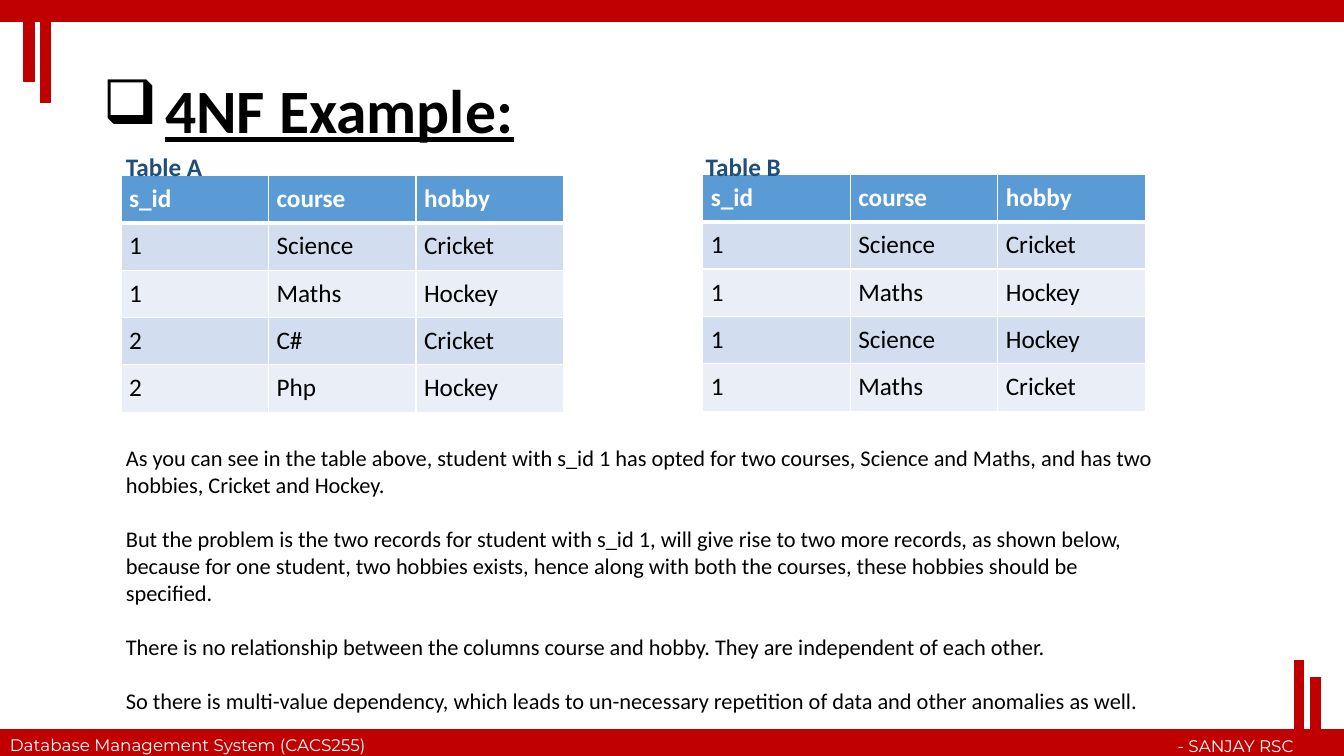
from pptx import Presentation
from pptx.dml.color import RGBColor as Rgb
from pptx.enum.shapes import MSO_SHAPE as Kind
from pptx.enum.text import MSO_ANCHOR as Anchor, PP_ALIGN as Align
from pptx.oxml.ns import qn
from pptx.util import Pt
from lxml.etree import SubElement as Sub

PX = 9144  # 100 px to the inch
RED, WHITE, BLACK, NAVY = "C00000", "FFFFFF", "000000", "1F4E79"
HEAD, BANDS = "5B9BD5", ("D2DEEF", "EAEFF7")
BARS = [(0, 0, 1333, 21), (40, 1, 10, 101), (24, 3, 10, 78),
        (1284, 655, 9, 94), (1300, 672, 10, 78)]
COLS = ("s_id", "course", "hobby")
ROWS_A = [COLS, ("1", "Science", "Cricket"), ("1", "Maths", "Hockey"),
          ("2", "C#", "Cricket"), ("2", "Php", "Hockey")]
ROWS_B = [COLS, ("1", "Science", "Cricket"), ("1", "Maths", "Hockey"),
          ("1", "Science", "Hockey"), ("1", "Maths", "Cricket")]
NOTES = [
    "As you can see in the table above, student with s_id 1 has opted for two "
    "courses, Science and Maths, and has two hobbies, Cricket and Hockey.",
    "But the problem is the two records for student with s_id 1, will give rise "
    "to two more records, as shown below, because for one student, two hobbies "
    "exists, hence along with both the courses, these hobbies should be specified.",
    "There is no relationship between the columns course and hobby. "
    "They are independent of each other.",
    "So there is multi-value dependency, which leads to un-necessary repetition "
    "of data and other anomalies as well.",
]


def emu(*nums):
    return [n * PX for n in nums]


def tint(code):
    return Rgb.from_string(code)


def add_bar(slide, box):
    bar = slide.shapes.add_shape(Kind.RECTANGLE, *emu(*box))
    bar.shadow.inherit = False
    bar.fill.solid()
    bar.fill.fore_color.rgb = tint(RED)
    bar.line.color.rgb = tint(RED)
    bar.line.width = Pt(1)


def add_run(para, text, size, color, bold=False, face="Calibri"):
    run = para.add_run()
    run.text = text
    font = run.font
    font.name, font.size, font.bold = face, Pt(size), bold
    font.color.rgb = tint(color)
    return run


def add_text(slide, box, lines, size, color, gap=0, align=Align.LEFT, **look):
    frame = slide.shapes.add_textbox(*emu(*box)).text_frame
    frame.word_wrap = True
    for i, line in enumerate(lines):
        para = frame.add_paragraph() if i else frame.paragraphs[0]
        para.alignment = align
        if i and gap:
            para.space_before = Pt(gap)
        add_run(para, line, size, color, **look)
    return frame


def add_title(slide, text):
    frame = add_text(slide, (92, 40, 1150, 145), [text], 44, BLACK, bold=True)
    frame.vertical_anchor = Anchor.MIDDLE
    para = frame.paragraphs[0]
    props = para._p.get_or_add_pPr()
    props.set("marL", str(62 * PX))
    props.set("indent", str(-62 * PX))
    Sub(props, qn("a:buChar")).set("char", "❑")
    para.line_spacing = 0.9
    para.runs[0].font.underline = True


def add_edges(cell, row):
    props = cell._tc.get_or_add_tcPr()
    thick = {0: "B", 1: "T"}.get(row)  # rule under the header
    for side in "LRTB":
        edge = Sub(props, qn("a:ln" + side))
        edge.set("w", str(Pt(3 if side == thick else 1)))
        fill = Sub(edge, qn("a:solidFill"))
        Sub(fill, qn("a:srgbClr")).set("val", WHITE)


def add_grid(slide, left, top, rows):
    box = emu(left, top, 439, 47 * len(rows))
    grid = slide.shapes.add_table(len(rows), len(COLS), *box).table
    grid.horz_banding = False
    for r, row in enumerate(rows):
        grid.rows[r].height = 47 * PX
        for c, text in enumerate(row):
            cell = grid.cell(r, c)
            add_edges(cell, r)
            cell.fill.solid()
            cell.fill.fore_color.rgb = tint(BANDS[(r - 1) % 2] if r else HEAD)
            cell.margin_left = cell.margin_right = 8 * PX
            cell.margin_top = cell.margin_bottom = 8 * PX
            add_run(cell.text_frame.paragraphs[0], text, 18,
                    BLACK if r else WHITE, bold=not r)


def main():
    deck = Presentation()
    deck.slide_width, deck.slide_height = emu(1333, 750)
    slide = deck.slides.add_slide(deck.slide_layouts[6])

    # Footer
    add_bar(slide, (0, 724, 1333, 26))
    add_text(slide, (0, 724, 416, 30), ["Database Management System (CACS255)"],
             12, WHITE, face="Montserrat")
    add_text(slide, (970, 725, 323, 30), ["- SANJAY RSC"], 12, WHITE,
             align=Align.RIGHT, face="Montserrat")

    # Top band and corner bars
    for box in BARS:
        add_bar(slide, box)

    # Title, tables and notes
    add_title(slide, "4NF Example:")
    add_grid(slide, 120, 174, ROWS_A)
    add_grid(slide, 697, 173, ROWS_B)
    add_text(slide, (115, 436, 1041, 279), NOTES, 16, BLACK, gap=19.5)

    # Table labels
    for left, name in ((115, "Table A"), (690, "Table B")):
        add_text(slide, (left, 145, 129, 40), [name], 18, NAVY, bold=True)

    deck.save("out.pptx")


if __name__ == "__main__":
    main()
